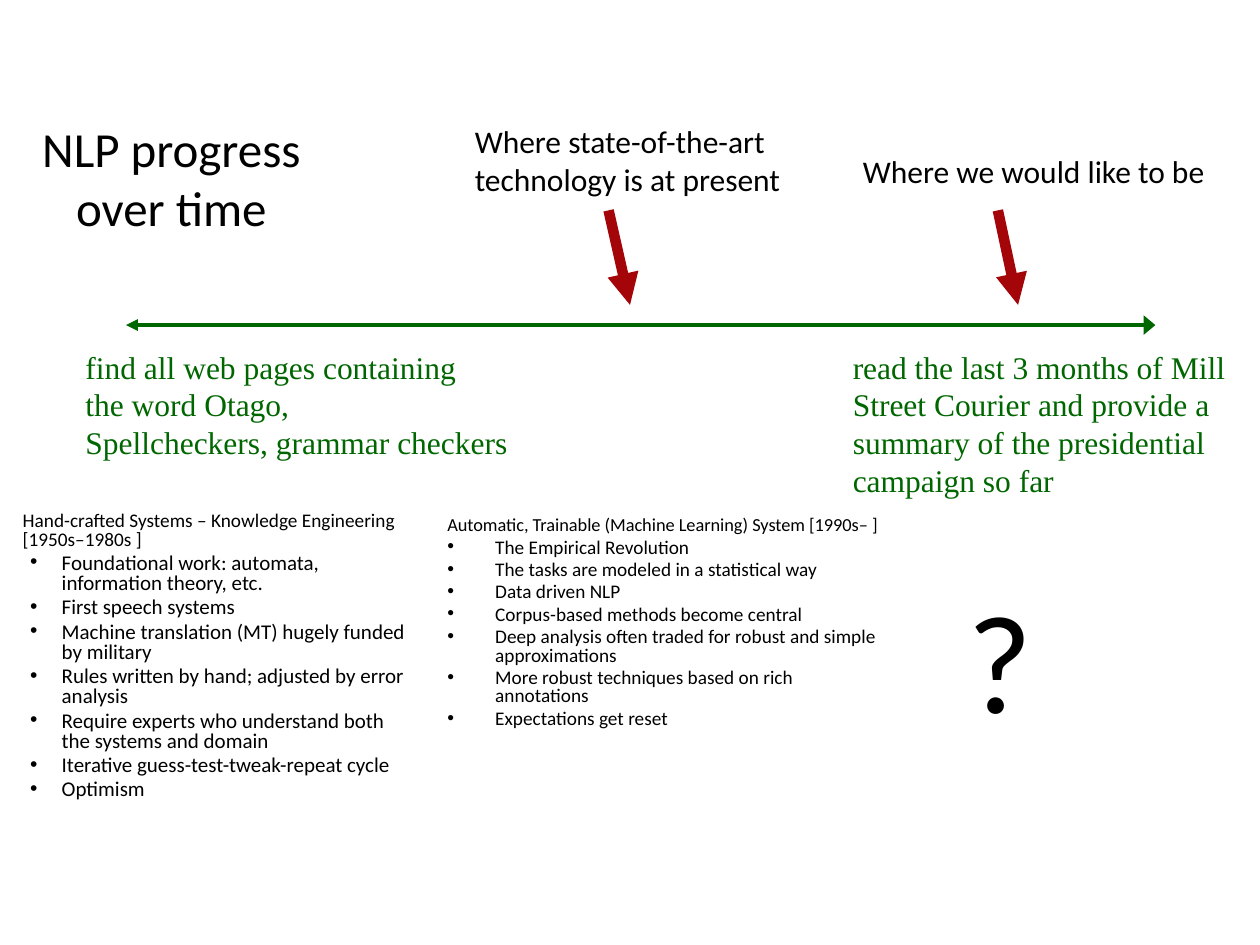
"""Build the slide on NLP progress over time."""
from dataclasses import dataclass

from lxml import etree
from pptx import Presentation
from pptx.dml.color import RGBColor
from pptx.enum.shapes import MSO_CONNECTOR
from pptx.enum.text import MSO_ANCHOR, MSO_AUTO_SIZE, PP_ALIGN
from pptx.oxml.ns import qn
from pptx.util import Inches, Pt

STRAIGHT = MSO_CONNECTOR.STRAIGHT
MIDDLE, TOP = MSO_ANCHOR.MIDDLE, MSO_ANCHOR.TOP
NO_FIT = MSO_AUTO_SIZE.NONE
LEFT, CENTER = PP_ALIGN.LEFT, PP_ALIGN.CENTER


@dataclass(frozen=True)
class Theme:
    sans: str = "Calibri"
    serif: str = "Times New Roman"
    black: RGBColor = RGBColor(0, 0, 0)
    green: RGBColor = RGBColor(0x00, 0x66, 0x00)
    red: RGBColor = RGBColor(0xA4, 0x05, 0x08)
    title: float = 28
    label: float = 18
    question: float = 80
    early_heading: float = 11
    early_list: float = 12
    recent_heading: float = 10.5
    recent_list: float = 11


theme = Theme()


def write(shape, box, lines, size, font=theme.sans, color=theme.black, align=LEFT, anchor=TOP):
    """Place a shape and fill it with one paragraph per line."""
    shape.left, shape.top, shape.width, shape.height = [Inches(length) for length in box]
    frame = shape.text_frame
    frame.word_wrap = True
    frame.auto_size = NO_FIT
    frame.vertical_anchor = anchor
    for index, line in enumerate(lines):
        paragraph = frame.add_paragraph() if index else frame.paragraphs[0]
        paragraph.alignment = align
        run = paragraph.add_run()
        run.text = line
        run.font.name = font
        run.font.size = Pt(size)
        run.font.color.rgb = color
    return frame


def draw_arrow(shapes, start, end, color, width, ends):
    """Draw a straight line with the given arrowheads as (tag, width) pairs."""
    points = [Inches(length) for length in (*start, *end)]
    connector = shapes.add_connector(STRAIGHT, *points)
    connector.line.color.rgb = color
    connector.line.width = Pt(width)
    line = connector.line._get_or_add_ln()
    for tag, head_width in ends:
        etree.SubElement(line, qn(tag), type="triangle", w=head_width, len="med")
    etree.SubElement(connector._element.spPr, qn("a:effectLst"))


presentation = Presentation()
presentation.slide_width = Inches(10)
presentation.slide_height = Inches(7.5)
slide = presentation.slides.add_slide(presentation.slide_layouts[3])
shapes = slide.shapes
title, early_body, recent_body = slide.placeholders[0], slide.placeholders[1], slide.placeholders[2]

write(title, (-0.03, 0.94, 2.78, 0.94), ["NLP progress over time"], theme.title,
      align=CENTER, anchor=MIDDLE)

early_tasks = ["find all web pages containing", "the word Otago,", "Spellcheckers, grammar checkers"]
future_task = ["read the last 3 months of Mill Street Courier and provide a summary of the "
               "presidential campaign so far"]
labels = [
    ((0.58, 2.71, 3.59, 1.31), early_tasks, theme.label, theme.serif, theme.green),
    ((6.67, 2.71, 3.17, 1.31), future_task, theme.label, theme.serif, theme.green),
    ((3.67, 0.92, 2.83, 0.71), ["Where state-of-the-art technology is at present"],
     theme.label, theme.sans, theme.black),
    ((6.75, 1.16, 3.08, 0.4), ["Where we would like to be"], theme.label, theme.sans, theme.black),
    ((7.58, 4.5, 1.17, 1.45), ["?"], theme.question, theme.sans, theme.black),
]
for box, lines, size, font, color in labels:
    write(shapes.add_textbox(0, 0, 0, 0), box, lines, size, font, color)

draw_arrow(shapes, (1, 2.58), (9.17, 2.58), theme.green, 2.25,
           [("a:headEnd", "med"), ("a:tailEnd", "lg")])
for start_x, end_x in [(4.83, 5), (7.92, 8.08)]:
    draw_arrow(shapes, (start_x, 1.67), (end_x, 2.42), theme.red, 6, [("a:tailEnd", "med")])

early_lines = [
    "Hand-crafted Systems – Knowledge Engineering [1950s–1980s ]",
    "Foundational work: automata, information theory, etc.",
    "First speech systems",
    "Machine translation (MT) hugely funded by military",
    "Rules written by hand; adjusted by error analysis",
    "Require experts who understand both the systems and domain",
    "Iterative guess-test-tweak-repeat cycle",
    "Optimism",
]
recent_lines = [
    "Automatic, Trainable (Machine Learning) System [1990s– ]",
    "The Empirical Revolution",
    "The tasks are modeled in a statistical way",
    "Data driven NLP",
    "Corpus-based methods become central",
    "Deep analysis often traded for robust and simple approximations",
    "More robust techniques based on rich annotations",
    "Expectations get reset",
]
eras = [
    (early_body, (0.08, 4.02, 3.33, 2.15), early_lines,
     theme.early_heading, theme.early_list, 0.31, 0.25),
    (recent_body, (3.45, 4.06, 3.63, 2.02), recent_lines,
     theme.recent_heading, theme.recent_list, 0.38, 0.38),
]
for body, box, lines, heading_size, list_size, margin, hanging in eras:
    heading, *items = write(body, box, lines, list_size).paragraphs
    heading.runs[0].font.size = Pt(heading_size)
    heading.line_spacing = 0.8
    heading.space_before = Pt(0)
    properties = heading._p.get_or_add_pPr()
    properties.set("marL", "0")
    properties.set("indent", "0")
    etree.SubElement(properties, qn("a:buNone"))
    for item in items:
        item.line_spacing = 0.8
        item.space_before = Pt(0.2 * list_size)
        properties = item._p.get_or_add_pPr()
        properties.set("marL", str(Inches(margin)))
        properties.set("indent", str(-Inches(hanging)))
        etree.SubElement(properties, qn("a:buChar"), char="•")

presentation.save("out.pptx")
